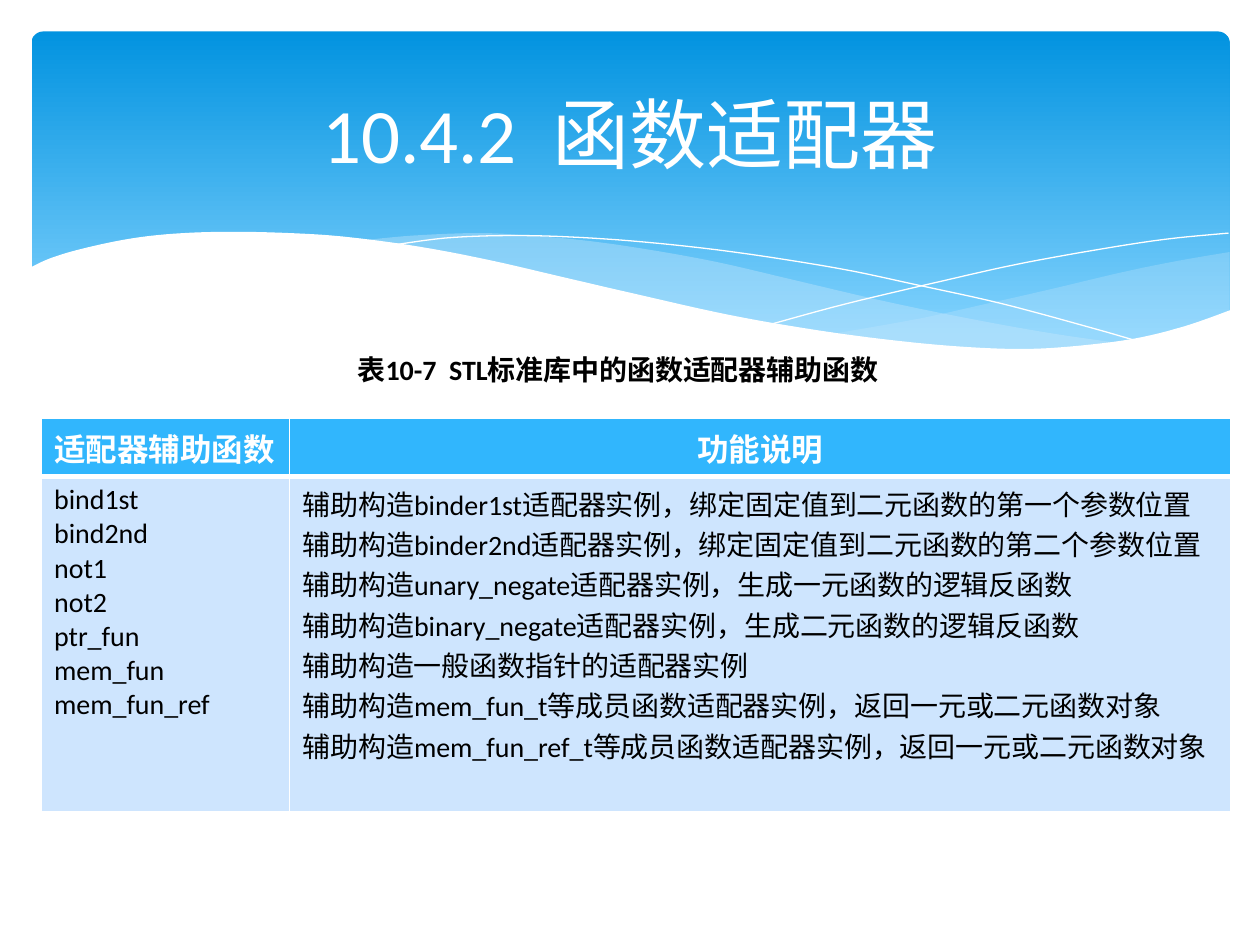
from lxml import etree
from pptx import Presentation
from pptx.dml.color import RGBColor as RGB
from pptx.enum.shapes import MSO_SHAPE as SHAPE
from pptx.enum.text import MSO_ANCHOR as ANCHOR, MSO_AUTO_SIZE as AUTO, PP_ALIGN as ALIGN
from pptx.oxml import parse_xml
from pptx.oxml.ns import nsdecls, qn
from pptx.util import Inches, Pt


class Theme:
    font = "Calibri"
    white, black = "FFFFFF", "000000"
    sky_top, sky_bottom, mist = "0293E0", "83D3FE", "C6E7FC"
    header, body = "31B6FD", "CEE5FE"
    title_size, header_size, text_size = 44, 18, 16


def write(tf, text, size=Theme.text_size, color=Theme.black, bold=False, align=None):
    """Fill a text frame, one paragraph per line of text."""
    for i, line in enumerate(text.split("\n")):
        p = tf.add_paragraph() if i else tf.paragraphs[0]
        if align is not None:
            p.alignment = align
        r = p.add_run()
        r.text = line
        r.font.name, r.font.size, r.font.bold = Theme.font, Pt(size), bold
        r.font.color.rgb = RGB.from_string(color)


def smooth(knots, steps=6):
    """Points of a Catmull-Rom curve through the knots, in EMU."""
    ends = [knots[0], *knots, knots[-1]]
    curve = [knots[0]]
    for a, b, c, d in zip(ends, ends[1:], ends[2:], ends[3:]):
        for n in range(1, steps + 1):
            t = n / steps
            curve.append([
                (2 * q + (r - p) * t + (2 * p - 5 * q + 4 * r - s) * t ** 2
                 + (3 * q - p - 3 * r + s) * t ** 3) / 2
                for p, q, r, s in zip(a, b, c, d)])
    return [(Inches(x), Inches(y)) for x, y in curve]


prs = Presentation()
prs.slide_width, prs.slide_height = Inches(10), Inches(7.5)
s = prs.slides.add_slide(prs.slide_layouts[5])
title = s.shapes.title

# Blue banner
banner = s.shapes.add_shape(SHAPE.ROUNDED_RECTANGLE, Inches(0.25), Inches(0.25),
                            Inches(9.51), Inches(2.7))
banner.adjustments[0] = 0.034
banner.shadow.inherit = False
banner.line.fill.background()
banner.fill.gradient()
banner.fill.gradient_angle = 270
stops = banner.fill.gradient_stops
for stop, position, color in zip(stops, (0, 0.9), (Theme.sky_top, Theme.sky_bottom)):
    stop.position = position
    stop.color.rgb = RGB.from_string(color)

# Waves: edges, fill colour, opacity in percent (no fill means a thin line)
waves = [
    ([[(9.76, 2), (9.35, 2.07), (8.91, 2.16), (8.32, 2.3), (7.79, 2.42), (7.29, 2.53),
       (6.61, 2.65)],
      [(6.61, 2.65), (7.05, 2.71), (7.57, 2.76), (8.03, 2.78), (8.54, 2.76), (8.97, 2.7),
       (9.35, 2.62), (9.76, 2.47)]], Theme.mist, 29),
    ([[(8.93, 2.73), (8.37, 2.65), (7.75, 2.54), (7.06, 2.4), (6.29, 2.22), (5.69, 2.08),
       (5.14, 1.98), (4.65, 1.91), (4.2, 1.87), (3.8, 1.85), (3.28, 1.87), (2.86, 1.91)],
      [(2.86, 1.91), (3.42, 1.99), (4.04, 2.11), (4.49, 2.22), (5.3, 2.4), (6.01, 2.55),
       (6.65, 2.66), (7.22, 2.74), (7.73, 2.77), (8.18, 2.78), (8.57, 2.77),
       (8.93, 2.73)]], Theme.mist, 40),
    ([[(3.09, 1.95), (3.53, 1.89), (4.01, 1.87), (4.5, 1.88), (5.1, 1.92), (5.82, 2),
       (6.65, 2.13), (7.27, 2.26), (7.95, 2.41), (8.69, 2.61), (9.07, 2.72)]], None, 0),
    ([[(6.13, 2.57), (6.72, 2.41), (7.48, 2.23), (8.06, 2.1), (8.66, 1.99), (9.24, 1.9),
       (9.75, 1.85)]], None, 0),
    ([[(9.77, 2.46), (9.4, 2.59), (8.99, 2.69), (8.5, 2.75), (8.09, 2.77), (7.61, 2.75),
       (7.08, 2.7), (6.48, 2.62), (5.79, 2.5), (5.03, 2.33), (4.47, 2.2), (3.91, 2.07),
       (3.4, 1.97), (2.92, 1.9), (2.5, 1.86), (1.93, 1.84), (1.46, 1.85), (1.06, 1.89),
       (0.67, 1.97), (0.4, 2.05), (0.23, 2.13)],
      [(0.23, 3.29), (9.77, 3.29)]], Theme.white, 100),
]
for edges, color, opacity in waves:
    points = [point for edge in edges for point in smooth(edge)]
    builder = s.shapes.build_freeform(*points[0])
    builder.add_line_segments(points[1:], close=color is not None)
    sp = builder.convert_to_shape()
    sp.shadow.inherit = False
    if color is None:
        sp.fill.background()
        sp.line.color.rgb = RGB.from_string(Theme.white)
        sp.line.width = Pt(0)
        continue
    sp.line.fill.background()
    sp.fill.solid()
    sp.fill.fore_color.rgb = RGB.from_string(color)
    if opacity < 100:
        rgb = sp._element.spPr.find(qn("a:solidFill"))[0]
        etree.SubElement(rgb, qn("a:alpha")).set("val", str(opacity * 1000))

# Title, brought in front of the banner
s.shapes._spTree.append(title._element)
title.left, title.top, title.width, title.height = map(Inches, (0.5, 0.37, 9, 1.37))
title.text_frame.vertical_anchor = ANCHOR.MIDDLE
write(title.text_frame, "10.4.2  函数适配器", size=Theme.title_size, color=Theme.white,
      align=ALIGN.CENTER)

# Table of helper functions
helpers = [
    ("bind1st", "binder1st适配器实例，绑定固定值到二元函数的第一个参数位置"),
    ("bind2nd", "binder2nd适配器实例，绑定固定值到二元函数的第二个参数位置"),
    ("not1", "unary_negate适配器实例，生成一元函数的逻辑反函数"),
    ("not2", "binary_negate适配器实例，生成二元函数的逻辑反函数"),
    ("ptr_fun", "一般函数指针的适配器实例"),
    ("mem_fun", "mem_fun_t等成员函数适配器实例，返回一元或二元函数对象"),
    ("mem_fun_ref", "mem_fun_ref_t等成员函数适配器实例，返回一元或二元函数对象"),
]
rows = [
    ("适配器辅助函数", "功能说明"),
    ("\n".join(name for name, _ in helpers),
     "\n".join("辅助构造" + purpose for _, purpose in helpers)),
]
table = s.shapes.add_table(2, 2, Inches(0.33), Inches(3.32), Inches(9.44), Inches(2.41)).table
table.horz_banding = False
for column, width in zip(table.columns, (1.97, 7.47)):
    column.width = Inches(width)
for row, height in zip(table.rows, (0.43, 1.98)):
    row.height = Inches(height)
for i, texts in enumerate(rows):
    is_header = i == 0
    for j, text in enumerate(texts):
        cell = table.cell(i, j)
        write(cell.text_frame, text,
              size=Theme.header_size if is_header else Theme.text_size,
              color=Theme.white if is_header else Theme.black, bold=is_header,
              align=ALIGN.CENTER if is_header and j else None)
        # Borders come before the fill; the rule under the header is thicker
        tcPr = cell._tc.get_or_add_tcPr()
        thick = "lnB" if is_header else "lnT"
        for side in ("lnL", "lnR", "lnT", "lnB"):
            width = Pt(3 if side == thick else 1)
            tcPr.append(parse_xml(
                f'<a:{side} {nsdecls("a")} w="{width}"><a:solidFill>'
                f'<a:srgbClr val="{Theme.white}"/></a:solidFill></a:{side}>'))
        cell.fill.solid()
        cell.fill.fore_color.rgb = RGB.from_string(Theme.header if is_header else Theme.body)

# Table caption
caption = s.shapes.add_textbox(Inches(2.74), Inches(2.75), Inches(4.78), Inches(0.37))
caption.text_frame.word_wrap = True
caption.text_frame.auto_size = AUTO.SHAPE_TO_FIT_TEXT
write(caption.text_frame, "表10-7  STL标准库中的函数适配器辅助函数", bold=True)

prs.save("out.pptx")
